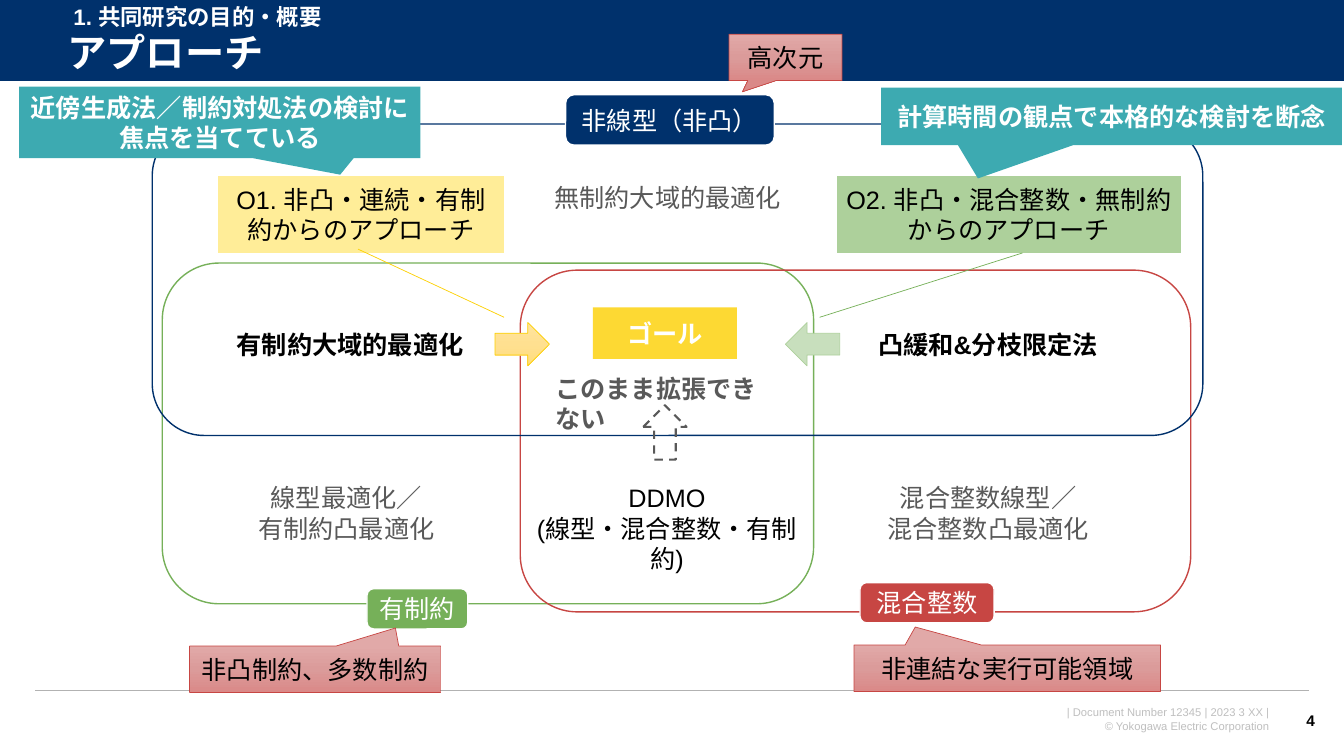
from copy import deepcopy
from dataclasses import dataclass
from typing import Any, Optional

from lxml import etree
from pptx import Presentation, util as u
from pptx.dml.color import RGBColor
from pptx.enum import dml, shapes, text
from pptx.oxml.ns import qn

HEX = {
    "navy": "00316C", "green": "76B059", "red": "C74643", "teal": "3DAAB1",
    "gold": "FDD000", "lemon": "FFED98", "leaf": "ADD09B", "mint": "C8DFBD",
    "white": "FFFFFF", "black": "000000", "gray": "595959",
    "pale": "BFBFBF", "rule": "B2B2B2",
}
FADES = {
    "amber": ("FFE49E", "FFE090", "FFDD7C"),
    "rose": ("E1A9A8", "DB9B9A", "DA8988"),
}
FACE = "Arial"
KIND = shapes.MSO_SHAPE
ROUND, NOTE = KIND.ROUNDED_RECTANGLE, KIND.RECTANGULAR_CALLOUT
LEAD = KIND.LINE_CALLOUT_1_NO_BORDER
LEFT, MID, RIGHT = text.PP_ALIGN.LEFT, text.PP_ALIGN.CENTER, text.PP_ALIGN.RIGHT
Box = tuple[float, float, float, float]


@dataclass
class Label:
    lines: tuple[str, ...]
    color: str = "black"
    bold: bool = False
    size: float = 18
    align: Any = MID


@dataclass
class Part:
    box: Box
    kind: Any
    fill: Optional[str] = None
    line: Optional[str] = None
    width: float = 1
    label: Optional[Label] = None
    adj: tuple[float, ...] = ()
    dash: bool = False
    alpha: Optional[int] = None
    inset: float = 0.1


@dataclass
class Note:
    box: Box
    label: Label
    wrap: bool = True
    anchor: Any = text.MSO_ANCHOR.TOP


def rgb(name: str) -> RGBColor:
    return RGBColor.from_string(HEX[name])


def write(frame: Any, label: Label) -> None:
    for i, line in enumerate(label.lines):
        para = frame.add_paragraph() if i else frame.paragraphs[0]
        para.alignment = label.align
        run = para.add_run()
        run.text = line
        font = run.font
        font.name, font.size, font.bold = FACE, u.Pt(label.size), label.bold
        font.color.rgb = rgb(label.color)
        # East Asian face follows the Latin one
        east = etree.Element(qn("a:ea"), typeface=FACE)
        run._r.find(".//" + qn("a:latin")).addnext(east)


def fade(fill: Any, tones: tuple[str, ...]) -> None:
    fill.gradient()
    fill.gradient_angle = 270
    first = fill.gradient_stops[0]._gs
    first.addnext(deepcopy(first))
    for i, (stop, tone) in enumerate(zip(fill.gradient_stops, tones)):
        stop.position = i / 2
        stop.color.rgb = RGBColor.from_string(tone)


def draw(tree: Any, part: Part) -> None:
    shape = tree.add_shape(part.kind, *map(u.Inches, part.box))
    shape.shadow.inherit = False
    for i, value in enumerate(part.adj):
        shape.adjustments[i] = value
    if part.fill in FADES:
        fade(shape.fill, FADES[part.fill])
    elif part.fill:
        shape.fill.solid()
        shape.fill.fore_color.rgb = rgb(part.fill)
    else:
        shape.fill.background()
    if part.alpha:
        tone = shape._element.spPr.find(".//" + qn("a:srgbClr"))
        etree.SubElement(tone, qn("a:alpha")).set("val", str(part.alpha * 1000))
    if part.line:
        shape.line.color.rgb = rgb(part.line)
        shape.line.width = u.Pt(part.width)
        if part.dash:
            shape.line.dash_style = dml.MSO_LINE.DASH
    else:
        shape.line.fill.background()
    if part.label:
        frame = shape.text_frame
        frame.vertical_anchor = text.MSO_ANCHOR.MIDDLE
        frame.margin_left = frame.margin_right = u.Inches(part.inset)
        write(frame, part.label)


def put(tree: Any, note: Note) -> None:
    frame = tree.add_textbox(*map(u.Inches, note.box)).text_frame
    frame.word_wrap = note.wrap
    frame.vertical_anchor = note.anchor
    write(frame, note.label)


def rule(tree: Any, x1: float, x2: float, y: float, color: str, width: float) -> None:
    line = tree.add_connector(shapes.MSO_CONNECTOR.STRAIGHT, u.Inches(x1),
                              u.Inches(y), u.Inches(x2), u.Inches(y))
    line.line.color.rgb = rgb(color)
    line.line.width = u.Pt(width)
    etree.SubElement(line._element.spPr, qn("a:effectLst"))


def pill(box: Box, word: str, fill: str) -> Part:
    return Part(box, ROUND, fill, "white", label=Label((word,), "white"))


def issue(box: Box, word: str, adj: tuple[float, float]) -> Part:
    return Part(box, NOTE, "rose", "red", 0.5, Label((word,)), adj)


def claim(box: Box, word: str, adj: tuple[float, float]) -> Part:
    return Part(box, NOTE, "teal", label=Label((word,), "white", True), adj=adj)


FRAME = [
    Note((9.48, 6.95, 3.21, 0.37), Label(
        ("| Document Number 12345 | 2023 3 XX |", "© Yokogawa Electric Corporation"),
        "pale", size=8, align=RIGHT)),
    Note((12.7, 6.95, 0.44, 0.4), Label(("4",), bold=True, size=11, align=RIGHT),
         False, text.MSO_ANCHOR.MIDDLE),
    Note((0.63, -0.02, 5.76, 0.37),
         Label(("1. 共同研究の目的・概要",), "white", True, 16, LEFT)),
]
BODY = [
    # Problem classes
    Part((1.61, 2.61, 6.46, 3.38), ROUND, line="green"),
    Part((5.16, 2.68, 6.65, 3.39), ROUND, line="red"),
    Part((1.51, 1.23, 10.42, 3.09), ROUND, line="navy"),
    Note((5.17, 4.74, 2.89, 0.71), Label(("DDMO", "(線型・混合整数・有制約)"))),
    Note((2.25, 3.22, 2.47, 0.4), Label(("有制約大域的最適化",), bold=True, align=LEFT)),
    pill((5.61, 0.94, 2.07, 0.5), "非線型（非凸）", "navy"),
    pill((3.64, 5.84, 1, 0.4), "有制約", "green"),
    pill((8.53, 5.78, 1.33, 0.4), "混合整数", "red"),
    # Approaches and their arrows
    Part((7.79, 3.2, 0.54, 0.43), KIND.LEFT_ARROW, "mint", "leaf", 0.5),
    Part((4.91, 3.2, 0.54, 0.43), KIND.RIGHT_ARROW, "amber", "gold", 0.5),
    Part((2.16, 1.75, 2.84, 0.76), LEAD, "lemon", "gold", 0.5,
         Label(("O1. 非凸・連続・有制約からのアプローチ",)), (0.95, 0.49, 1.84, 1)),
    Part((8.3, 1.75, 3.41, 0.76), LEAD, "leaf", "green", 0.5,
         Label(("O2. 非凸・混合整数・無制約", "からのアプローチ")),
         (1, 0.54, 1.84, -0.05), inset=0),
    Part((6.38, 4.02, 0.43, 0.54), KIND.UP_ARROW, line="gray", width=1.5, dash=True),
    # Fields
    Note((5.41, 3.65, 2.44, 0.4), Label(("このまま拡張できない",), "gray", True, align=LEFT)),
    Note((8.61, 3.22, 2.39, 0.4), Label(("凸緩和&分枝限定法",), bold=True, align=LEFT)),
    Note((2.45, 4.74, 1.97, 0.71), Label(("線型最適化／", "有制約凸最適化"), "gray")),
    Note((8.69, 4.74, 2.22, 0.71), Label(("混合整数線型／", "混合整数凸最適化"), "gray")),
    Note((5.4, 1.76, 2.47, 0.4), Label(("無制約大域的最適化",), "gray", align=LEFT)),
    Part((5.88, 3.05, 1.43, 0.51), KIND.RECTANGLE, "gold",
         label=Label(("ゴール",), "white", True), alpha=80),
    # Callouts
    issue((8.47, 6.4, 3.04, 0.46), "非連結な実行可能領域", (-0.3, -0.89)),
    issue((1.88, 6.41, 2.49, 0.46), "非凸制約、多数制約", (0.32, -0.89)),
    issue((7.23, 0.34, 1.12, 0.46), "高次元", (-0.38, 0.74)),
    claim((8.74, 0.87, 4.57, 0.57), "計算時間の観点で本格的な検討を断念", (-0.29, 1.08)),
    claim((0.19, 0.86, 3.98, 0.71), "近傍生成法／制約対処法の検討に焦点を当てている",
          (0.3, 0.73)),
]


def main() -> None:
    deck = Presentation()
    deck.slide_width, deck.slide_height = u.Inches(13.33), u.Inches(7.5)
    slide = deck.slides.add_slide(deck.slide_layouts[5])
    tree = slide.shapes
    # Header band and rules
    draw(tree, Part((0, 0, 13.33, 0.81), KIND.RECTANGLE, "navy"))
    rule(tree, 0, 13.33, 0.81, "white", 0.75)
    rule(tree, 0.35, 12.98, 6.85, "rule", 1)
    # Title, raised above the band
    title = tree.title
    title.left, title.top = u.Inches(0.57), u.Inches(0.26)
    title.width, title.height = u.Inches(12.47), u.Inches(0.57)
    title.text_frame.vertical_anchor = text.MSO_ANCHOR.MIDDLE
    write(title.text_frame, Label(("アプローチ",), "white", True, 28, LEFT))
    title.text_frame.paragraphs[0].line_spacing = 0.9
    tree._spTree.append(title._element)
    # Content
    for item in FRAME + BODY:
        (draw if isinstance(item, Part) else put)(tree, item)
    deck.save("out.pptx")


if __name__ == "__main__":
    main()
